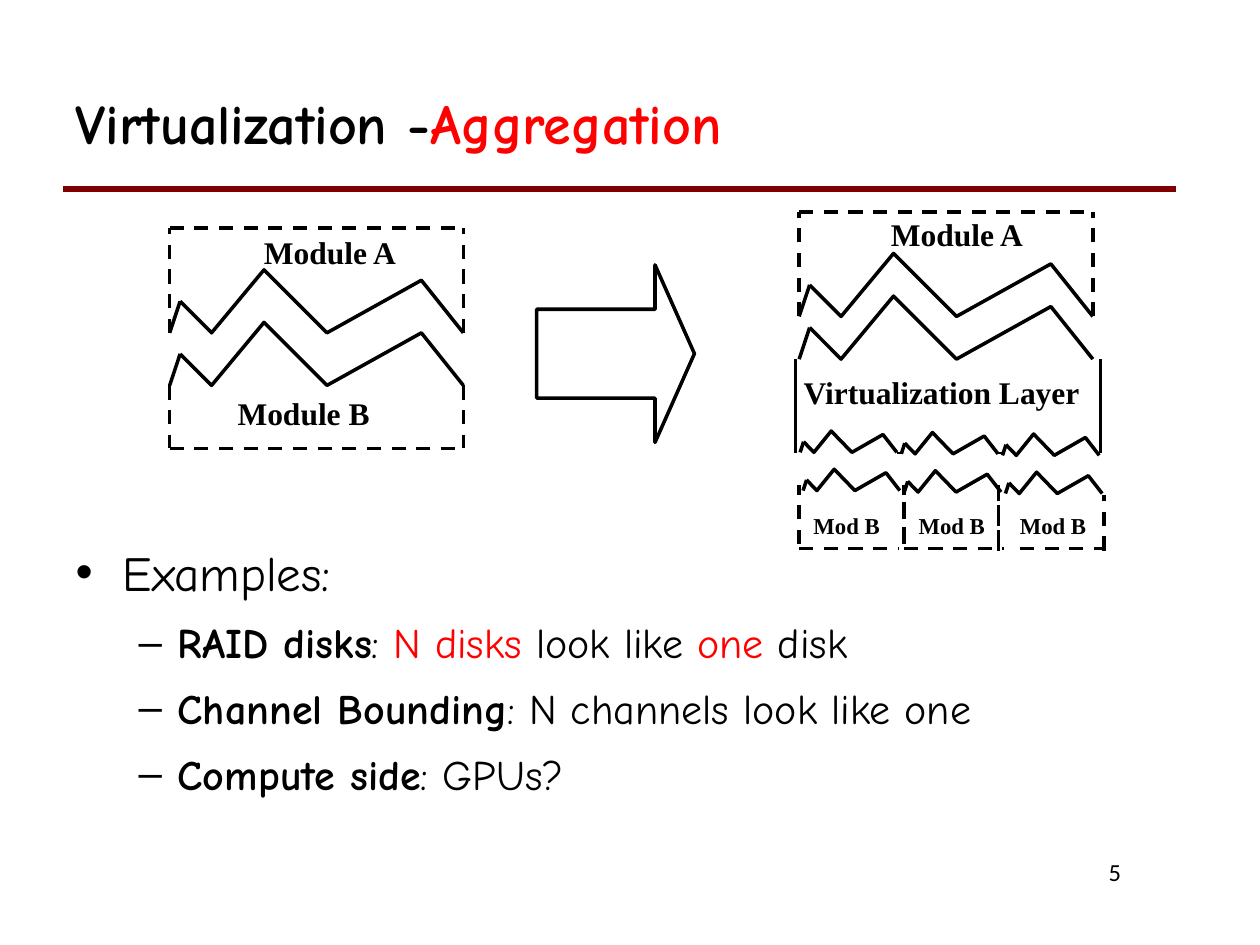
from lxml.etree import SubElement
from pptx import Presentation
from pptx.dml.color import RGBColor as Rgb
from pptx.enum.dml import MSO_LINE_DASH_STYLE as Dash
from pptx.enum.shapes import MSO_CONNECTOR as Link, MSO_SHAPE as Form
from pptx.enum.text import MSO_ANCHOR as Anchor, MSO_AUTO_SIZE as Fit, PP_ALIGN as Align
from pptx.oxml.ns import qn
from pptx.util import Cm, Pt

BLACK = Rgb(0, 0, 0)
RED = Rgb(255, 0, 0)
MAROON = Rgb(128, 0, 0)
COMIC = "Comic Neue"
SERIF = "Times New Roman"
COLS, ROWS = 28, 6
JAG = [(1, 3), (4, 6), (9, 0), (15, 6), (24, 1), (28, 6)]


def say(par, text, size=18, font=COMIC, bold=False, color=BLACK):
    """Add a formatted run to a paragraph."""
    run = par.add_run()
    run.text = text
    run.font.size, run.font.name, run.font.bold = Pt(size), font, bold
    run.font.color.rgb = color


def place(shape, left, top, width, height):
    """Move and size a shape."""
    shape.left, shape.top = Cm(left), Cm(top)
    shape.width, shape.height = Cm(width), Cm(height)


def label(slide, text, left, top, width=3, height=0.8, align=Align.LEFT, **fmt):
    """Put a line of text without margins on the slide."""
    frame = slide.shapes.add_textbox(Cm(left), Cm(top), Cm(width), Cm(height)).text_frame
    frame.word_wrap = True
    frame.margin_left = frame.margin_right = frame.margin_top = frame.margin_bottom = 0
    frame.paragraphs[0].alignment = align
    say(frame.paragraphs[0], text, **fmt)


def line(slide, x1, y1, x2, y2, dash=False, width=2, color=BLACK):
    """Draw a straight line."""
    link = slide.shapes.add_connector(Link.STRAIGHT, Cm(x1), Cm(y1), Cm(x2), Cm(y2))
    link.line.width = Pt(width)
    link.line.color.rgb = color
    if dash:
        link.line.dash_style = Dash.DASH
    SubElement(link._element.spPr, qn("a:effectLst"))


def hollow(shape):
    """Give a shape a plain black outline."""
    shape.shadow.inherit = False
    shape.fill.background()
    shape.line.color.rgb = BLACK
    shape.line.width = Pt(2)


def jag(slide, left, foot, width=5.92, height=1.27):
    """Draw a jagged edge and the short line that starts it at the foot."""
    pts = [(left + x * width / COLS, foot - height + y * height / ROWS) for x, y in JAG]
    spots = [(Cm(x), Cm(y)) for x, y in pts]
    path = slide.shapes.build_freeform(*spots[0])
    path.add_line_segments(spots[1:], close=False)
    hollow(path.convert_to_shape())
    line(slide, *pts[0], left, foot)


def module(slide, left, flat, foot, width=5.92):
    """Draw a module with a dashed flat side and a jagged side."""
    jag(slide, left, foot, width)
    line(slide, left, flat, left + width, flat, dash=True)
    for x in (left, left + width):
        line(slide, x, foot, x, flat, dash=True)


def pair(slide, left, top):
    """Draw two modules that fit each other."""
    module(slide, left, top, top + 2.11)
    module(slide, left, top + 4.44, top + 3.17)
    for text, x, y in (("Module A", 1.9, 0.1), ("Module B", 1.37, 3.34)):
        label(slide, text, left + x, top + y, font=SERIF, bold=True)


def stack(slide, left, top):
    """Draw a module on a layer that joins three small ones."""
    module(slide, left, top, top + 2.11)
    label(slide, "Module A", left + 1.85, top + 0.06, font=SERIF, bold=True)
    jag(slide, left, top + 2.97)
    for x in (-0.07, 6.07):
        line(slide, left + x, top + 2.97, left + x, top + 4.87)
    label(slide, "Virtualization Layer", left + 0.09, top + 3.25, 5.9, font=SERIF, bold=True)
    for i in range(3):
        step, drop = left + 2.04 * i, top + 0.03 * i
        jag(slide, step + 0.02, drop + 4.85, 1.95, 0.43)
        jag(slide, step + 0.08, drop + 5.62, 1.95, 0.43)
        if i < 2:
            line(slide, step + 1.97, top + 4.86, step + 2.06, top + 4.86, width=1)
    parts = [(0, 2.11, 0, 2.01, 0.29, 0), (2.11, 4.02, 2.11, 4.12, 2.41, 0.2),
             (4.02, 6.15, 4.45, 6.15, 4.45, 0.2)]
    for x1, x2, b1, b2, word, sink in parts:
        line(slide, left + x1, top + 6.7, left + x1, top + 5.51, dash=True)
        line(slide, left + x2, top + 6.63 + sink, left + x2, top + 5.51 + sink, dash=True)
        line(slide, left + b1, top + 6.79, left + b2, top + 6.79, dash=True)
        label(slide, "Mod B", left + word, top + 6.05, 1.6, 0.6, size=13, font=SERIF, bold=True)


def arrow(slide, left, top, width, height):
    """Draw the block arrow between the two diagrams."""
    shape = slide.shapes.add_shape(Form.RIGHT_ARROW, Cm(left), Cm(top), Cm(width), Cm(height))
    shape.adjustments[0], shape.adjustments[1] = 0.5, 0.25
    hollow(shape)


def head(slide, left, top, width, height):
    """Fill the title and draw the rule below it."""
    title = slide.shapes.title
    place(title, left, top, width, height)
    frame = title.text_frame
    frame.auto_size, frame.vertical_anchor = Fit.NONE, Anchor.MIDDLE
    par = frame.paragraphs[0]
    par.alignment, par.line_spacing, par.space_before = Align.LEFT, 0.9, Pt(4)
    say(par, "Virtualization -", size=32, bold=True)
    say(par, "Aggregation", size=32, bold=True, color=RED)
    line(slide, left, top + height, left + width, top + height, width=3, color=MAROON)


def points(slide, left, top, width, height):
    """Fill the bullet list."""
    body = slide.placeholders[1]
    place(body, left, top, width, height)
    frame = body.text_frame
    frame.auto_size = Fit.NONE
    bold, red = {"bold": True}, {"color": RED}
    rows = [
        [("Examples:", {})],
        [("RAID disks", bold), (": ", {}), ("N disks ", red), ("look like ", {}),
         ("one", red), (" disk", {})],
        [("Channel Bounding", bold), (": N channels look like one", {})],
        [("Compute side", bold), (": GPUs?", {})],
    ]
    for i, row in enumerate(rows):
        par = frame.add_paragraph() if i else frame.paragraphs[0]
        par.level = 1 if i else 0
        size, gap, indent, hang = (24, 3, 2.06, 0.79) if i else (28, 3.5, 0.95, 0.95)
        par.line_spacing, par.space_before = 1.2, Pt(gap)
        props = par._p.get_or_add_pPr()
        props.set("marL", str(Cm(indent)))
        props.set("indent", str(-Cm(hang)))
        for text, fmt in row:
            say(par, text, size=size, **fmt)


def main():
    """Build and save the slide."""
    deck = Presentation()
    deck.slide_width, deck.slide_height = Cm(25.4), Cm(19.05)
    slide = deck.slides.add_slide(deck.slide_layouts[1])
    head(slide, 1.27, 1.27, 22.43, 2.54)
    points(slide, 1.27, 10.57, 23.06, 6.35)
    pair(slide, 3.42, 4.6)
    arrow(slide, 10.82, 5.34, 3.18, 3.58)
    stack(slide, 16.11, 4.27)
    label(slide, "5", 19.5, 17.28, 3.1, 0.8, Align.RIGHT, size=14, font="Calibri")
    deck.save("out.pptx")


main()
